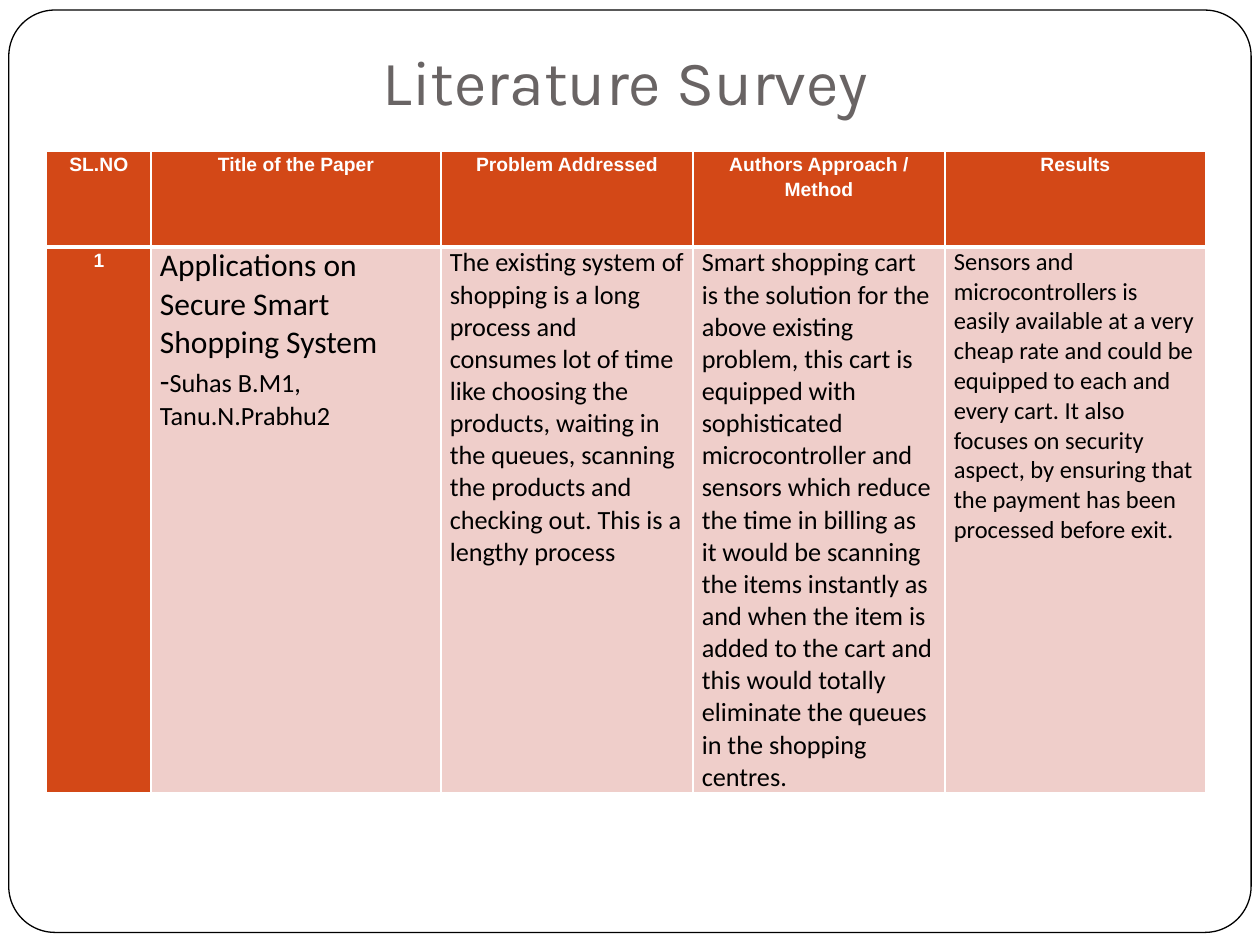
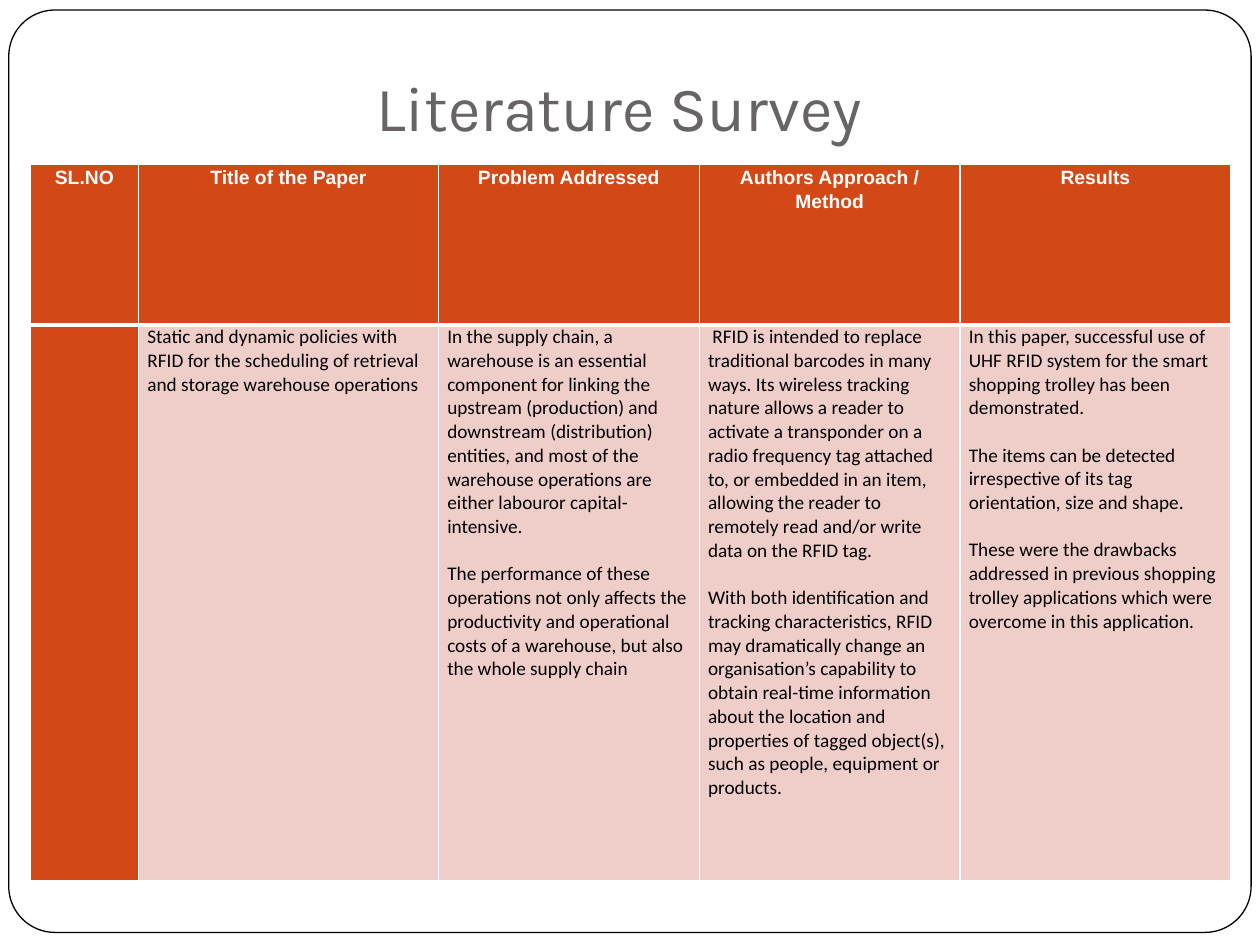
"""Build two literature survey slides, each with a title and a table."""
from lxml import etree
from pptx import Presentation
from pptx import util as u
from pptx.dml.color import RGBColor
from pptx.enum import shapes, text
from pptx.oxml import ns

WHITE = RGBColor(0xFF, 0xFF, 0xFF)
BLACK = RGBColor(0, 0, 0)
GREY = RGBColor(0x69, 0x64, 0x64)
RUST = RGBColor(0xD3, 0x48, 0x17)
PINK = RGBColor(0xEF, 0xCE, 0xCA)

HEADS = ["SL.NO", "Title of the Paper", "Problem Addressed",
         "Authors Approach / Method", "Results"]

PAGES = [
    {"title": (1.47, 0.24), "table": (0.37, 1.2), "gap": 0,
     "cols": [0.83, 2.3, 2, 2, 2.07], "rows": [0.76, 4.33],
     "cells": [
         [[("1", 11)]],
         [[("Applications on Secure Smart Shopping System", 18)],
          [("-", 18), ("Suhas B.M1, Tanu.N.Prabhu2", 15)]],
         [[("The existing system of shopping is a long process and consumes lot of time "
            "like choosing the products, waiting in the queues, scanning the products and "
            "checking out. This is a lengthy process", 15)]],
         [[("Smart shopping cart is the solution for the above existing problem, this cart "
            "is equipped with sophisticated microcontroller and sensors which reduce the "
            "time in billing as it would be scanning the items instantly as and when the "
            "item is added to the cart and this would totally eliminate the queues in the "
            "shopping centres.", 15)]],
         [[("Sensors and microcontrollers is easily available at a very cheap rate and "
            "could be equipped to each and every cart. It also focuses on security aspect, "
            "by ensuring that the payment has been", 14)],
          [("processed before exit.", 14)]]]},
    {"title": (1.42, 0.44), "table": (0.24, 1.3), "gap": 13.4,
     "cols": [0.86, 2.38, 2.07, 2.07, 2.15], "rows": [1.28, 4.41],
     "cells": [
         [],
         [[("Static and dynamic policies with RFID for the scheduling of retrieval and "
            "storage warehouse operations", 11)]],
         [[("In the supply chain, a warehouse is an essential component for linking the "
            "upstream (production) and downstream (distribution) entities, and most of the "
            "warehouse operations are either labouror capital-intensive.", 11)],
          [("The performance of these operations not only affects the productivity and "
            "operational costs of a warehouse, but also the whole supply chain", 11)]],
         [[(" RFID is intended to replace traditional barcodes in many ways. Its wireless "
            "tracking nature allows a reader to activate a transponder on a radio frequency "
            "tag attached to, or embedded in an item, allowing the reader to remotely read "
            "and/or write data on the RFID tag.", 11)],
          [("With both identification and tracking characteristics, RFID may dramatically "
            "change an organisation’s capability to obtain real-time information about the "
            "location and properties of tagged object(s), such as people, equipment or "
            "products.", 11)]],
         [[("In this paper, successful use of UHF RFID system for the smart shopping "
            "trolley has been demonstrated.", 11)],
          [("The items can be detected irrespective of its tag orientation, size and "
            "shape.", 11)],
          [("These were the drawbacks addressed in previous shopping trolley applications "
            "which were overcome in this application.", 11)]]]},
]


def write(para, words, size=11, font="Calibri", color=BLACK, bold=False, center=False, lead=1):
    para.alignment = text.PP_ALIGN.CENTER if center else text.PP_ALIGN.LEFT
    para.line_spacing = lead
    run = para.add_run()
    run.text = words
    run.font.size = u.Pt(size)
    run.font.name = font
    run.font.bold = bold
    run.font.color.rgb = color


def dress(cell, fill, top, bottom):
    cell.margin_left = cell.margin_right = u.Inches(0.07)
    cell.margin_top = cell.margin_bottom = 0
    cell.fill.solid()
    cell.fill.fore_color.rgb = fill
    props = cell._tc.get_or_add_tcPr()
    for i, (side, width) in enumerate([("L", 1), ("R", 1), ("T", top), ("B", bottom)]):
        line = etree.Element(ns.qn(f"a:ln{side}"), w=str(u.Pt(width)))
        solid = etree.SubElement(line, ns.qn("a:solidFill"))
        etree.SubElement(solid, ns.qn("a:srgbClr"), val=str(WHITE))
        props.insert(i, line)


deck = Presentation()
deck.slide_width, deck.slide_height = u.Inches(10), u.Inches(7.5)
label = dict(font="Arial", color=WHITE, bold=True, center=True, lead=1.15)

for page in PAGES:
    slide = deck.slides.add_slide(deck.slide_layouts[6])
    frame = slide.shapes.add_shape(shapes.MSO_SHAPE.ROUNDED_RECTANGLE, u.Inches(0.07),
                                   u.Inches(0.08), u.Inches(9.86), u.Inches(7.32))
    frame.adjustments[0] = 0.05
    frame.shadow.inherit = False
    frame.fill.solid()
    frame.fill.fore_color.rgb = WHITE
    frame.line.color.rgb = BLACK
    frame.line.width = u.Pt(0.75)

    left, top = page["title"]
    box = slide.shapes.add_textbox(u.Inches(left), u.Inches(top), u.Inches(6.99), u.Inches(0.96))
    body = box.text_frame
    body.word_wrap = True
    body.margin_left = body.margin_right = body.margin_top = body.margin_bottom = u.Inches(0.1)
    write(body.paragraphs[0], "Literature Survey", size=36, font="Karla", color=GREY, center=True)

    cols, rows = page["cols"], page["rows"]
    left, top = page["table"]
    table = slide.shapes.add_table(2, len(cols), u.Inches(left), u.Inches(top),
                                   u.Inches(sum(cols)), u.Inches(sum(rows))).table
    table.horz_banding = False
    for row, height in zip(table.rows, rows):
        row.height = u.Inches(height)
    for i, (width, head, paras) in enumerate(zip(cols, HEADS, page["cells"])):
        table.columns[i].width = u.Inches(width)
        cell = table.cell(0, i)
        dress(cell, RUST, 1, 3)
        write(cell.text_frame.paragraphs[0], head, **label)
        cell = table.cell(1, i)
        dress(cell, PINK if i else RUST, 3, 1)
        for k, runs in enumerate(paras):
            para = cell.text_frame.add_paragraph() if k else cell.text_frame.paragraphs[0]
            para.space_before = u.Pt(page["gap"] if k else 0)
            for words, size in runs:
                write(para, words, size=size, **({} if i else label))

deck.save("out.pptx")
